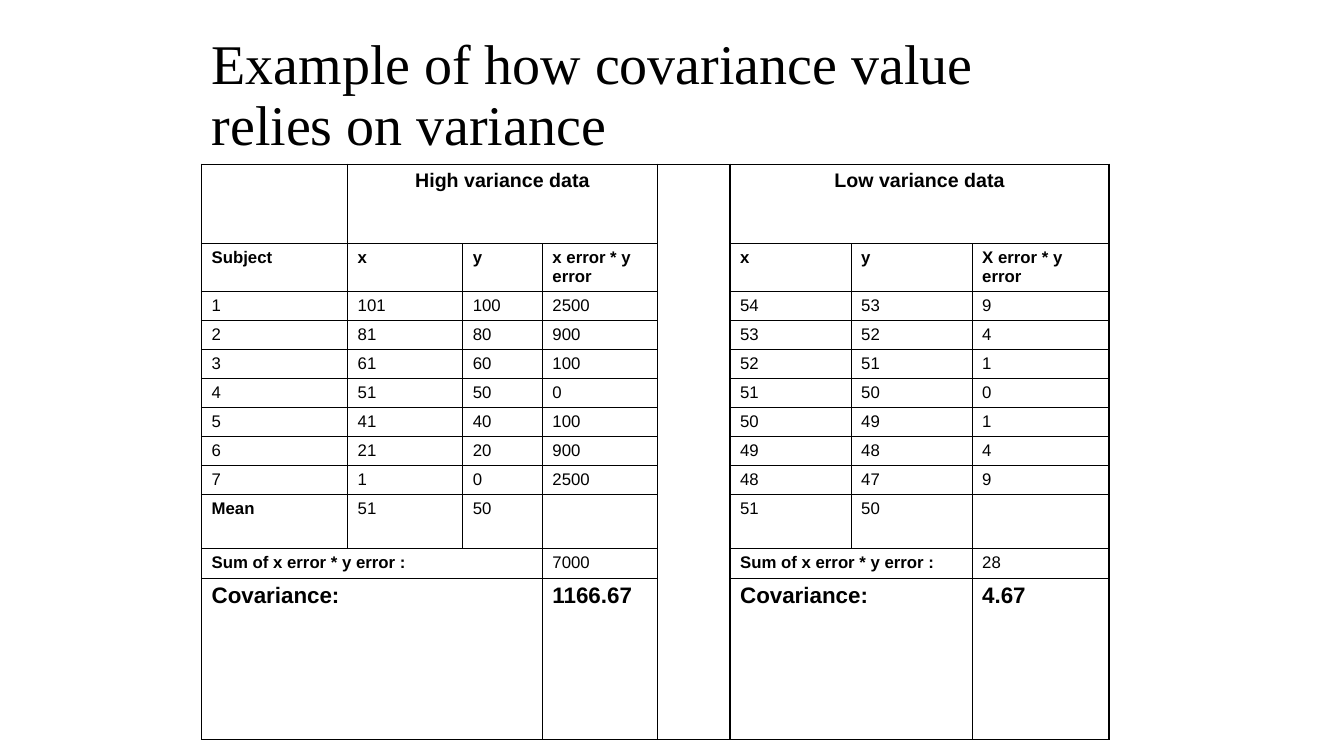
from lxml import etree
from pptx import Presentation
from pptx.dml.color import RGBColor
from pptx.enum.text import MSO_ANCHOR, PP_ALIGN
from pptx.oxml.ns import qn
from pptx.util import Cm, Pt

LEFT, CENTER = PP_ALIGN.LEFT, PP_ALIGN.CENTER
TOP, MIDDLE = MSO_ANCHOR.TOP, MSO_ANCHOR.MIDDLE
COLORS = {"text": "000000", "border": "000000", "background": "FFFFFF"}
COLUMN_WIDTHS = [3.68, 2.9, 2.01, 2.9, 1.83, 3.05, 3.05, 3.45]
ROW_HEIGHTS = [2.0, 1.19] + [0.73] * 7 + [1.37, 0.76, 4.06]
GAP_COLUMN = 4
HEADING_ROW, LABEL_ROW, MEAN_ROW, SUM_ROW, COVARIANCE_ROW = 0, 1, 9, 10, 11
MERGES = [
    (HEADING_ROW, 1, HEADING_ROW, 3),
    (HEADING_ROW, 5, HEADING_ROW, 7),
    (HEADING_ROW, GAP_COLUMN, COVARIANCE_ROW, GAP_COLUMN),
    (SUM_ROW, 0, SUM_ROW, 2),
    (SUM_ROW, 5, SUM_ROW, 6),
    (COVARIANCE_ROW, 0, COVARIANCE_ROW, 2),
    (COVARIANCE_ROW, 5, COVARIANCE_ROW, 6),
]
ROWS = [
    ["", "High variance data", "", "", "", "Low variance data", "", ""],
    ["Subject", "x", "y", "x error * y error", "", "x", "y", "X error * y error"],
    ["1", "101", "100", "2500", "", "54", "53", "9"],
    ["2", "81", "80", "900", "", "53", "52", "4"],
    ["3", "61", "60", "100", "", "52", "51", "1"],
    ["4", "51", "50", "0", "", "51", "50", "0"],
    ["5", "41", "40", "100", "", "50", "49", "1"],
    ["6", "21", "20", "900", "", "49", "48", "4"],
    ["7", "1", "0", "2500", "", "48", "47", "9"],
    ["Mean", "51", "50", "", "", "51", "50", ""],
    ["Sum of x error * y error :", "", "", "7000", "", "Sum of x error * y error :", "", "28"],
    ["Covariance:", "", "", "1166.67", "", "Covariance:", "", "4.67"],
]


def write_text(frame, text, size=12, font="Arial", bold=False, align=LEFT, spacing=1.0):
    paragraph = frame.paragraphs[0]
    paragraph.alignment = align
    paragraph.line_spacing = spacing
    run = paragraph.add_run()
    run.text = text
    run.font.size = Pt(size)
    run.font.name = font
    run.font.bold = bold
    run.font.color.rgb = RGBColor.from_string(COLORS["text"])


def set_blank_size(cell, size=12):
    paragraph = cell.text_frame.paragraphs[0]
    etree.SubElement(paragraph._p, qn("a:endParaRPr"), sz=str(size * 100))


def set_borders(cell, width=1):
    properties = cell._tc.get_or_add_tcPr()
    for side in ("lnL", "lnR", "lnT", "lnB"):
        line = etree.SubElement(properties, qn(f"a:{side}"), w=str(Pt(width)))
        fill = etree.SubElement(line, qn("a:solidFill"))
        etree.SubElement(fill, qn("a:srgbClr"), val=COLORS["border"])


def cell_format(row, column):
    if row == HEADING_ROW:
        return {"size": 14, "bold": True, "align": CENTER}
    if row == COVARIANCE_ROW:
        return {"size": 16, "bold": True}
    label = row == LABEL_ROW or (row == MEAN_ROW and column == 0)
    return {"bold": label or (row == SUM_ROW and column in (0, 5))}


def add_title(slide, text):
    title = slide.shapes.title
    title.left, title.top = Cm(5.08), Cm(0.53)
    title.width, title.height = Cm(22.86), Cm(3.81)
    title.text_frame.word_wrap = True
    title.text_frame.vertical_anchor = MIDDLE
    write_text(title.text_frame, text, size=40, font="Times New Roman", spacing=0.9)


def add_variance_table(slide):
    frame = slide.shapes.add_table(
        len(ROWS), len(COLUMN_WIDTHS), Cm(5.08), Cm(4.14),
        Cm(sum(COLUMN_WIDTHS)), Cm(sum(ROW_HEIGHTS)))
    table = frame.table
    table.first_row = False
    table.horz_banding = False
    for column, width in zip(table.columns, COLUMN_WIDTHS):
        column.width = Cm(width)
    for row, height in zip(table.rows, ROW_HEIGHTS):
        row.height = Cm(height)
    for top, left, bottom, right in MERGES:
        table.cell(top, left).merge(table.cell(bottom, right))
    for row_index, values in enumerate(ROWS):
        for column_index, value in enumerate(values):
            cell = table.cell(row_index, column_index)
            cell.vertical_anchor = TOP
            set_borders(cell)
            cell.fill.solid()
            cell.fill.fore_color.rgb = RGBColor.from_string(COLORS["background"])
            if value:
                write_text(cell.text_frame, value, **cell_format(row_index, column_index))
            else:
                set_blank_size(cell)


def main():
    presentation = Presentation()
    presentation.slide_width, presentation.slide_height = Cm(33.87), Cm(19.05)
    slide = presentation.slides.add_slide(presentation.slide_layouts[5])
    add_title(slide, "Example of how covariance value relies on variance")
    add_variance_table(slide)
    presentation.save("out.pptx")


if __name__ == "__main__":
    main()
